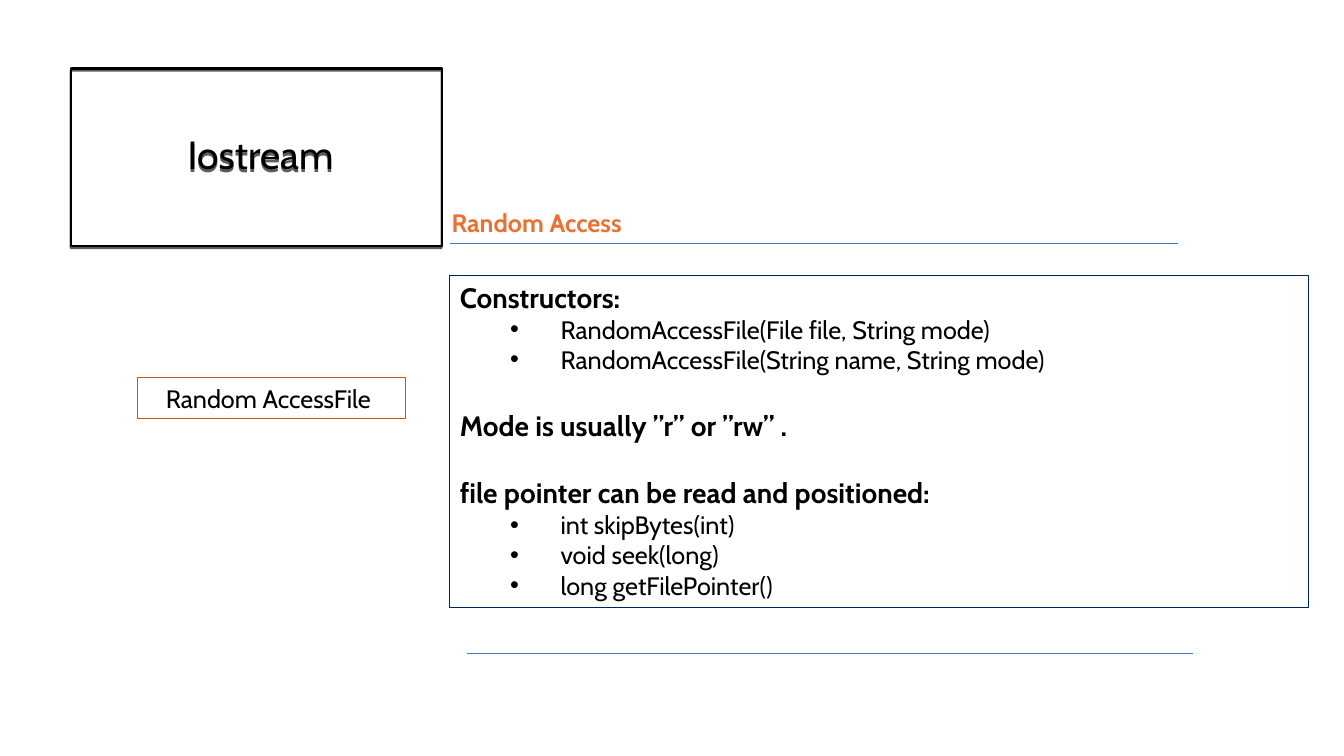
from lxml.etree import SubElement
from pptx import Presentation
from pptx.dml.color import RGBColor
from pptx.enum.shapes import MSO_CONNECTOR, MSO_SHAPE
from pptx.enum.text import MSO_ANCHOR, MSO_AUTO_SIZE, PP_ALIGN
from pptx.oxml.ns import qn
from pptx.util import Inches, Pt

# Content
TITLE = "Iostream"
HEADING = "Random Access"
CLASS_LABEL = "Random AccessFile "
SECTIONS = [
    ("Constructors:", ["RandomAccessFile(File file, String mode)",
                       "RandomAccessFile(String name, String mode)"]),
    ("Mode is usually ”r” or ”rw” .", []),
    ("file pointer can be read and positioned:",
     ["int skipBytes(int)", "void seek(long)", "long getFilePointer()"]),
]
RULES = [(4.46, 11.68, 2.41), (4.63, 11.83, 6.48)]  # left, right, y

FONT = "Cabin"
BLACK = RGBColor(0x00, 0x00, 0x00)
NAVY = RGBColor(0x00, 0x20, 0x60)
BLUE = RGBColor(0x44, 0x72, 0xC4)
ORANGE = RGBColor(0xE9, 0x71, 0x32)
RUST = RGBColor(0xC5, 0x5A, 0x11)


def place(part, left, top, width, height):
    part.left, part.top = Inches(left), Inches(top)
    part.width, part.height = Inches(width), Inches(height)


def outline(part, color, width):
    part.fill.background()
    part.line.color.rgb = color
    part.line.width = Pt(width)


def add_text(paragraph, text, size, color=BLACK, bold=False, font=FONT):
    run = paragraph.add_run()
    run.text = text
    run.font.name, run.font.size = font, Pt(size)
    run.font.color.rgb, run.font.bold = color, bold


def set_bullet(paragraph, char=None):
    props = paragraph._p.get_or_add_pPr()
    props.set("marL", str(Inches(1) if char else 0))
    props.set("indent", str(Inches(-0.5) if char else 0))
    if char:
        SubElement(props, qn("a:buFont"), typeface="Arial")
        SubElement(props, qn("a:buChar"), char=char)
    else:
        SubElement(props, qn("a:buNone"))


prs = Presentation()
prs.slide_width, prs.slide_height = Inches(13.33), Inches(7.5)
slide = prs.slides.add_slide(prs.slide_layouts[1])

# Title box with a hard shadow below
title = slide.shapes.title
place(title, 0.7, 0.68, 3.68, 1.76)
outline(title, BLACK, 1.5)
effects = SubElement(title._element.spPr, qn("a:effectLst"))
shadow = SubElement(effects, qn("a:outerShdw"), blurRad="0", dist=str(Pt(1.5)),
                    dir="5400000", algn="ctr", rotWithShape="0")
shadow_color = SubElement(shadow, qn("a:srgbClr"), val=str(BLACK))
SubElement(shadow_color, qn("a:alpha"), val="63000")
title_frame = title.text_frame
title_frame.auto_size = MSO_AUTO_SIZE.NONE
title_frame.vertical_anchor = MSO_ANCHOR.MIDDLE
title_line = title_frame.paragraphs[0]
title_line.alignment, title_line.line_spacing = PP_ALIGN.CENTER, 0.9
add_text(title_line, " ", 28, font="Calibri")
add_text(title_line, TITLE, 28)

# Constructors, mode and file pointer
details = slide.placeholders[1]
place(details, 4.46, 2.73, 8.52, 3.3)
outline(details, NAVY, 0.75)
details_frame = details.text_frame
details_frame.auto_size = MSO_AUTO_SIZE.NONE
details_frame.vertical_anchor = MSO_ANCHOR.TOP
for number, (topic, calls) in enumerate(SECTIONS):
    topic_line = details_frame.add_paragraph() if number else details_frame.paragraphs[0]
    topic_line.space_before = Pt(24.3 if number else 0)
    set_bullet(topic_line)
    add_text(topic_line, topic, 20, bold=True)
    for call in calls:
        call_line = details_frame.add_paragraph()
        call_line.level, call_line.space_before = 1, Pt(0)
        set_bullet(call_line, "•")
        add_text(call_line, call, 18)

# Rules above and below the details
for left, right, y in RULES:
    rule = slide.shapes.add_connector(MSO_CONNECTOR.STRAIGHT, Inches(left), Inches(y),
                                      Inches(right), Inches(y))
    rule.line.color.rgb, rule.line.width = BLUE, Pt(0.5)
    SubElement(rule._element.spPr, qn("a:effectLst"))

# Heading
heading = slide.shapes.add_textbox(Inches(4.38), Inches(2.01), Inches(2.62), Inches(0.4))
heading.text_frame.word_wrap = True
add_text(heading.text_frame.paragraphs[0], HEADING, 18, ORANGE, bold=True)

# Class label
class_label = slide.shapes.add_shape(MSO_SHAPE.RECTANGLE, Inches(1.36), Inches(3.75),
                                     Inches(2.66), Inches(0.4))
class_label.shadow.inherit = False
outline(class_label, RUST, 0.75)
class_label.text_frame.word_wrap = True
class_label.text_frame.vertical_anchor = MSO_ANCHOR.TOP
class_line = class_label.text_frame.paragraphs[0]
class_line.alignment = PP_ALIGN.CENTER
add_text(class_line, CLASS_LABEL, 18)

prs.save("out.pptx")
